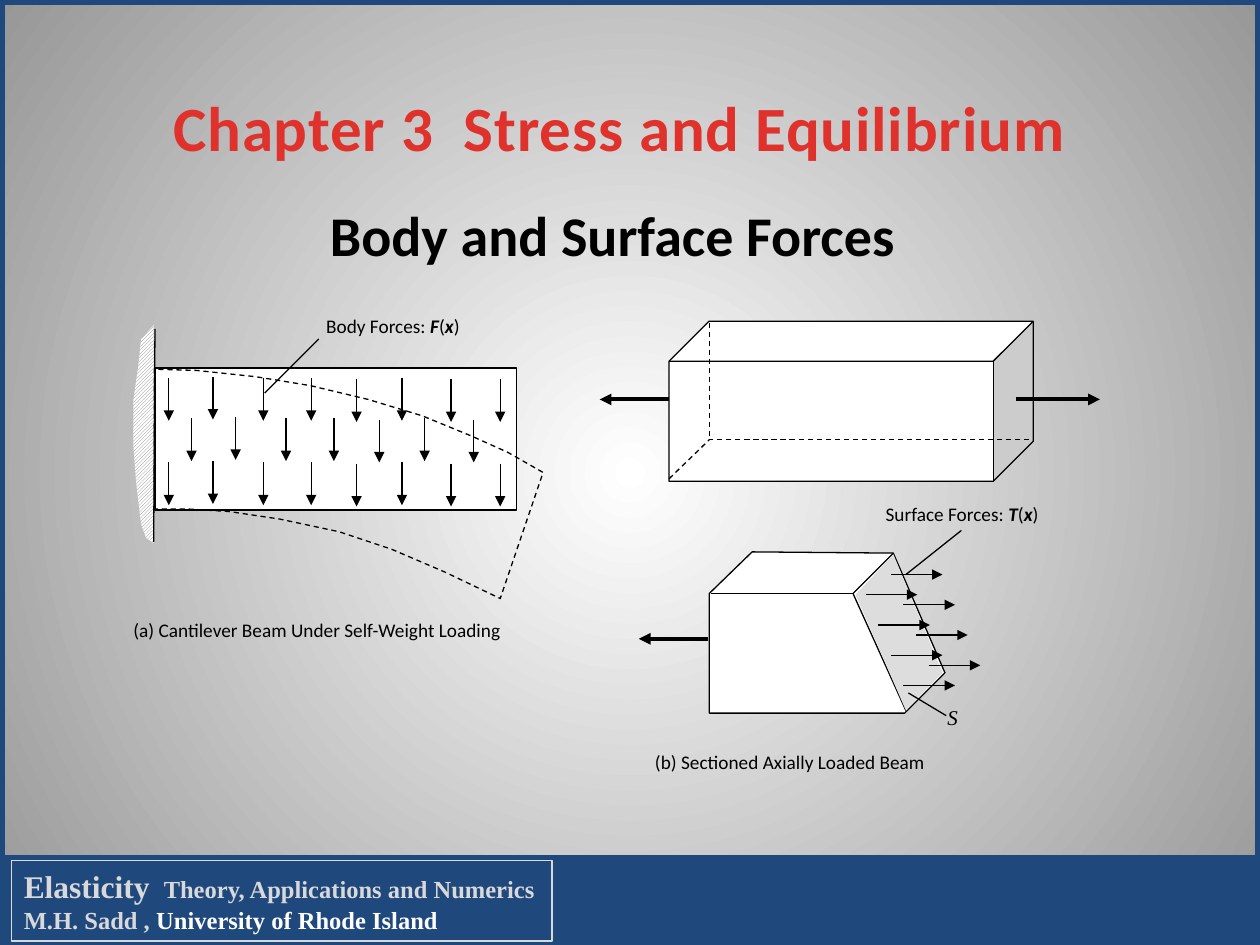
import pptx
import pptx.util
import pptx.dml.color
import pptx.enum.dml
import pptx.enum.shapes
import pptx.enum.text
import pptx.oxml.ns
import lxml.etree

Inches = pptx.util.Inches
Pt = pptx.util.Pt
RGB = pptx.dml.color.RGBColor
Kind = pptx.enum.shapes.MSO_SHAPE
Align = pptx.enum.text.PP_ALIGN
Anchor = pptx.enum.text.MSO_ANCHOR
qn = pptx.oxml.ns.qn

BLACK = RGB(0x00, 0x00, 0x00)
WHITE = RGB(0xFF, 0xFF, 0xFF)
RED = RGB(0xE0, 0x32, 0x2D)
NAVY = RGB(0x1F, 0x49, 0x7D)
PALE = RGB(0xD9, 0xD9, 0xD9)
FACE = RGB(0xDD, 0xDD, 0xDD)
EDGE = RGB(0x97, 0x97, 0x97)
HATCH = RGB(0x80, 0x80, 0x80)


class Board:
    font = "Calibri"
    serif = "Times New Roman"
    thin = 0.75
    thick = 2.25

    def __init__(self, slide):
        self.slide = slide
        self.shapes = slide.shapes

    def backdrop(self, inner, outer):
        fill = self.slide.background.fill
        fill.gradient()
        for stop, color, spot in zip(fill.gradient_stops, (inner, outer), (0, 1)):
            stop.color.rgb = color
            stop.position = spot
        grad = next(self.slide.element.iter(qn("a:gradFill")))
        ring = lxml.etree.Element(qn("a:path"))
        ring.set("path", "circle")
        lxml.etree.SubElement(ring, qn("a:fillToRect"),
                              l="50000", t="50000", r="50000", b="50000")
        grad.replace(grad.find(qn("a:lin")), ring)

    def paint(self, shape, fill, line, width, dash):
        shape.shadow.inherit = False
        if fill is None:
            shape.fill.background()
        else:
            shape.fill.solid()
            shape.fill.fore_color.rgb = fill
        if line is None:
            shape.line.fill.background()
        else:
            self.stroke(shape.line, line, width, dash)
        return shape

    def stroke(self, line, color, width, dash):
        line.color.rgb = color
        line.width = Pt(width)
        if dash:
            line.dash_style = pptx.enum.dml.MSO_LINE.DASH

    def box(self, kind, place, fill=None, line=BLACK, width=thin):
        shape = self.shapes.add_shape(kind, *map(Inches, place))
        return self.paint(shape, fill, line, width, False)

    def outline(self, points, fill=None, line=BLACK, dash=False):
        spots = [(Inches(x), Inches(y)) for x, y in points]
        pen = self.shapes.build_freeform(*spots[0])
        pen.add_line_segments(spots[1:], close=True)
        return self.paint(pen.convert_to_shape(), fill, line, self.thin, dash)

    def line(self, start, end, width=thin, dash=False, head=False):
        link = self.shapes.add_connector(
            pptx.enum.shapes.MSO_CONNECTOR.STRAIGHT, *map(Inches, (*start, *end)))
        self.stroke(link.line, BLACK, width, dash)
        props = link.element.spPr
        if head:
            lxml.etree.SubElement(props.find(qn("a:ln")), qn("a:tailEnd"),
                                  type="triangle")
        lxml.etree.SubElement(props, qn("a:effectLst"))

    def arrow(self, start, end, width=thin):
        self.line(start, end, width, head=True)

    def add_run(self, para, text, size, color=BLACK, bold=False, italic=False,
                font=font):
        run = para.add_run()
        run.text = text
        run.font.name = font
        run.font.size = Pt(size)
        run.font.color.rgb = color
        run.font.bold = bold
        run.font.italic = italic

    def text(self, place, text, size, space=1.0, **style):
        frame = self.shapes.add_textbox(*map(Inches, place)).text_frame
        frame.word_wrap = True
        para = frame.paragraphs[0]
        para.line_spacing = space
        self.add_run(para, text, size, **style)
        return frame

    def force(self, place, text, sign):
        para = self.text(place, text, 11, 1.15).paragraphs[0]
        for part, strong in ((sign, True), ("(", False), ("x", True), (")", False)):
            self.add_run(para, part, 11, bold=strong, italic=strong)


deck = pptx.Presentation()
deck.slide_width, deck.slide_height = Inches(10), Inches(7.5)
board = Board(deck.slides.add_slide(deck.slide_layouts[6]))
board.backdrop(WHITE, EDGE)

# Headings; only the title is letterspaced
title = board.text((0.42, 0.42, 9, 1.17), "Chapter 3  Stress and Equilibrium",
                   36, color=RED, bold=True)
title.vertical_anchor = Anchor.MIDDLE
title.paragraphs[0].alignment = Align.CENTER
next(board.slide.element.iter(qn("a:rPr"))).set("spc", "50")
board.text((2.52, 1.54, 4.92, 0.64), "Body and Surface Forces", 32, bold=True)

# Whole bar under axial load
board.box(Kind.CUBE, (5.31, 2.55, 2.89, 1.27), WHITE)
for start, end in (((8.06, 3.17), (8.73, 3.17)), ((5.31, 3.17), (4.76, 3.17)),
                   ((5.62, 5.07), (5.07, 5.07))):
    board.arrow(start, end, board.thick)
for start in ((5.63, 2.56), (8.17, 3.49), (5.31, 3.8)):
    board.line(start, (5.63, 3.49), dash=True)

# Sectioned bar
board.outline([(5.63, 4.71), (5.97, 4.38), (7.09, 4.39), (7.5, 5.34),
               (7.18, 5.66), (5.63, 5.66)], WHITE)
for end in ((5.64, 4.71), (7.09, 4.39), (7.19, 5.64)):
    board.line((6.77, 4.71), end)
board.outline([(6.79, 4.72), (7.09, 4.4), (7.48, 5.34), (7.19, 5.64)], FACE, None)
for left, top in ((7.07, 4.56), (6.87, 4.72)):
    for step in range(4):
        x, y = left + 0.1 * step, top + 0.24 * step
        board.arrow((x, y), (x + 0.41, y))
board.force((6.93, 3.91, 1.99, 0.37), "Surface Forces: ", "T")
board.line((7.19, 4.56), (7.63, 4.21))
board.text((7.42, 5.54, 0.39, 0.39), "S", 12, italic=True, font=board.serif)
board.line((7.21, 5.5), (7.51, 5.68))
board.text((5.1, 5.88, 3.3, 0.39), "(b) Sectioned Axially Loaded Beam", 11, 1.15)

# Cantilever beam with rows of body forces
board.box(Kind.RECTANGLE, (1.23, 2.92, 2.87, 1.13), WHITE, width=1)
columns = [1.34, 1.69, 2.09, 2.47, 2.83, 3.19, 3.58, 3.97]
dips = [0, -0.01, 0, 0, 0.01, 0, 0.01, 0.01]
for top, shift, count in ((3, 0, 8), (3.67, 0, 8), (3.32, 0.18, 7)):
    for x, dip in list(zip(columns, dips))[:count]:
        board.arrow((x + shift, top + dip), (x + shift, top + dip + 0.34))
board.outline([(1.22, 4.04), (1.22, 2.93), (1.56, 2.94), (2.03, 2.99),
               (2.46, 3.06), (2.92, 3.17), (3.35, 3.3), (3.74, 3.46),
               (4.03, 3.59), (4.31, 3.75), (3.97, 4.75), (3.53, 4.54),
               (3.11, 4.36), (2.69, 4.22), (2.22, 4.12), (1.82, 4.06),
               (1.49, 4.04)], dash=True)
board.text((0.96, 4.83, 3.38, 0.43),
           "(a) Cantilever Beam Under Self-Weight Loading", 11, 1.15)
board.force((2.49, 2.42, 1.7, 0.44), "Body Forces: ", "F")
board.line((2.1, 3.12), (2.53, 2.69))

# Hatched wall
wall = board.outline([(1.22, 4.31), (1.22, 2.58), (1.12, 2.69), (1.1, 2.89),
                      (1.06, 3.17), (1.06, 3.55), (1.08, 3.82), (1.12, 4.16),
                      (1.16, 4.27)], line=None)
wall.fill.patterned()
wall.fill.pattern = pptx.enum.dml.MSO_PATTERN.LIGHT_UPWARD_DIAGONAL
wall.fill.fore_color.rgb = HATCH
wall.fill.back_color.rgb = WHITE
board.line((1.22, 4.3), (1.23, 2.61))

# Frame and footer
board.box(Kind.RECTANGLE, (0, 0, 10, 7.5), line=NAVY, width=6)
board.box(Kind.RECTANGLE, (0, 6.8, 10, 0.7), NAVY, NAVY, 2)
foot = board.box(Kind.RECTANGLE, (0.09, 6.83, 4.29, 0.64), line=PALE).text_frame
foot.word_wrap = False
foot.vertical_anchor = Anchor.TOP
para = foot.paragraphs[0]
para.alignment = Align.LEFT
for part, size, color in (("Elasticity", 18, PALE), ("  ", 16, PALE),
                          ("Theory, Applications and Numerics", 14, PALE),
                          (None, 14, PALE), ("M.H. Sadd , ", 14, PALE),
                          ("University of Rhode Island", 14, WHITE)):
    if part is None:
        para.add_line_break()
    else:
        board.add_run(para, part, size, color, True, font=board.serif)

deck.save("out.pptx")
